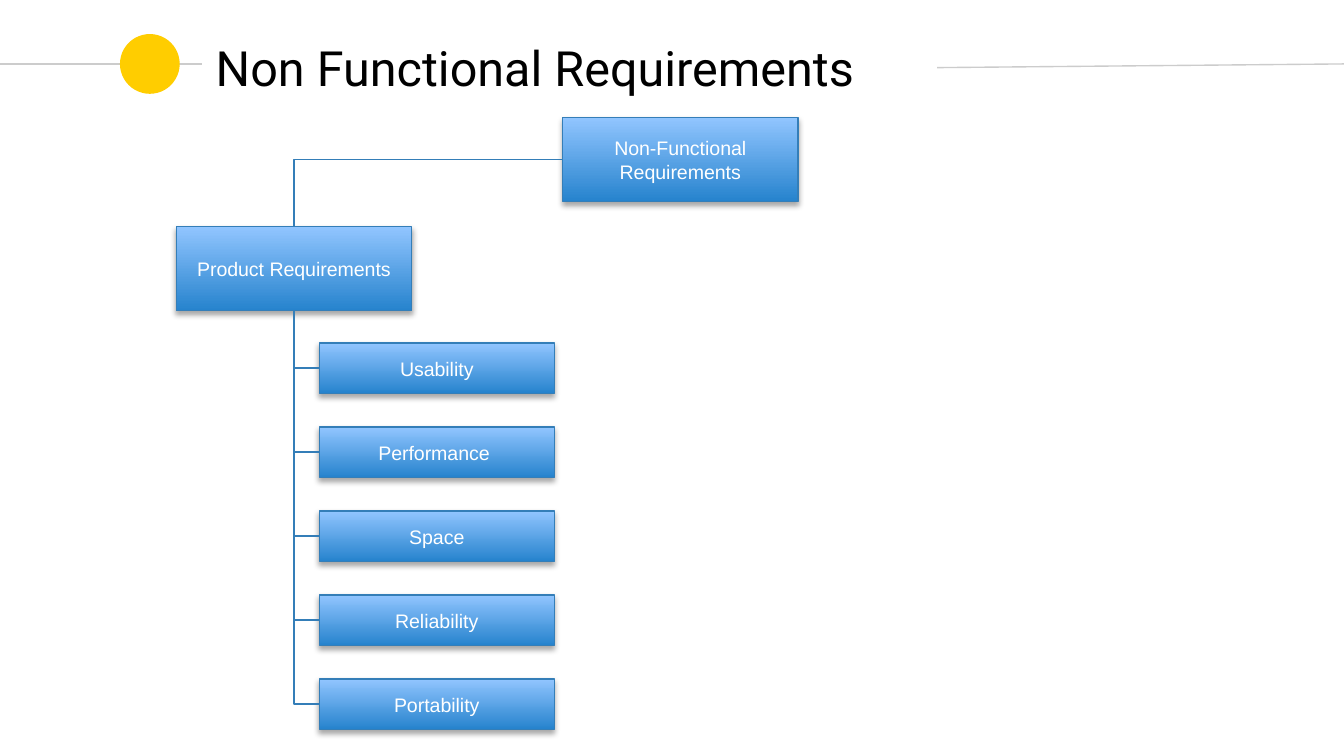
from lxml import etree
from pptx import Presentation
from pptx.dml.color import RGBColor
from pptx.enum import shapes, text
from pptx.oxml import ns
from pptx.util import Pt

COLOURS = {
    "rule": "CCCCCC",
    "accent": "FFCD00",
    "box_bottom": "2683CD",
    "box_top": "91C5FF",
    "outline": "347EB8",
    "label": "FFFFFF",
    "title": "000000",
    "shadow": "000000",
}
TOP, LEFT, BOTTOM = 0, 1, 2


class RequirementsSlide:
    def __init__(self, slide):
        self.slide = slide
        self.box_width = 126
        self.line_width = 0.75

    def colour(self, name):
        return RGBColor.from_string(COLOURS[name])

    def set_words(self, frame, words, font, size, colour, align):
        frame.text = words
        frame.word_wrap = True
        frame.vertical_anchor = text.MSO_ANCHOR.MIDDLE
        paragraph = frame.paragraphs[0]
        paragraph.alignment = align
        style = paragraph.runs[0].font
        style.name, style.size = font, Pt(size)
        style.color.rgb = self.colour(colour)

    def finish_line(self, connector, colour):
        connector.line.color.rgb = self.colour(colour)
        connector.line.width = Pt(self.line_width)
        etree.SubElement(connector._element.spPr, ns.qn("a:effectLst"))

    def rule(self, x1, y1, x2, y2):
        rule = self.slide.shapes.add_connector(
            shapes.MSO_CONNECTOR.STRAIGHT, Pt(x1), Pt(y1), Pt(x2), Pt(y2))
        self.finish_line(rule, "rule")

    def dot(self, left, top, size):
        dot = self.slide.shapes.add_shape(
            shapes.MSO_SHAPE.OVAL, Pt(left), Pt(top), Pt(size), Pt(size))
        dot.shadow.inherit = False
        dot.fill.solid()
        dot.fill.fore_color.rgb = self.colour("accent")
        dot.line.fill.background()

    def title(self, words, left, top, width, height):
        title = self.slide.shapes.add_textbox(Pt(left), Pt(top), Pt(width), Pt(height))
        frame = title.text_frame
        frame.margin_left = frame.margin_right = Pt(7.2)
        frame.margin_top = frame.margin_bottom = Pt(7.2)
        self.set_words(frame, words, "Roboto", 26, "title", text.PP_ALIGN.LEFT)

    def cast_shadow(self, box):
        box.shadow.inherit = False
        effects = box._element.spPr.find(ns.qn("a:effectLst"))
        shadow = etree.SubElement(
            effects, ns.qn("a:outerShdw"), blurRad=str(Pt(3.1)), dist=str(Pt(1.8)),
            dir="5400000", rotWithShape="0")
        tint = etree.SubElement(shadow, ns.qn("a:srgbClr"), val=COLOURS["shadow"])
        etree.SubElement(tint, ns.qn("a:alpha"), val="35000")

    def box(self, words, left, top, height):
        box = self.slide.shapes.add_shape(
            shapes.MSO_SHAPE.RECTANGLE, Pt(left), Pt(top), Pt(self.box_width), Pt(height))
        box.fill.gradient()
        box.fill.gradient_angle = 90
        for stop, name in zip(box.fill.gradient_stops, ("box_bottom", "box_top")):
            stop.color.rgb = self.colour(name)
        box.line.color.rgb = self.colour("outline")
        box.line.width = Pt(self.line_width)
        self.cast_shadow(box)
        self.set_words(box.text_frame, words, "Arial", 10.5, "label", text.PP_ALIGN.CENTER)
        return box

    def branch(self, start, end, end_side):
        branch = self.slide.shapes.add_connector(
            shapes.MSO_CONNECTOR.ELBOW, Pt(0), Pt(0), Pt(0), Pt(0))
        branch.begin_connect(start, LEFT)
        branch.end_connect(end, end_side)
        branch._element.spPr.find(ns.qn("a:prstGeom")).set("prst", "bentConnector2")
        self.finish_line(branch, "outline")


def main():
    deck = Presentation()
    deck.slide_width, deck.slide_height = Pt(720), Pt(405)
    page = RequirementsSlide(deck.slides.add_slide(deck.slide_layouts[6]))

    page.rule(0, 34.25, 108, 34.25)
    page.dot(64.25, 18.25, 32)
    page.rule(502, 36.25, 720, 34.25)

    root = page.box("Non-Functional Requirements", 301.5, 63, 45)
    product = page.box("Product Requirements", 94.5, 121.5, 45)
    qualities = ["Usability", "Performance ", "Space", "Reliability", "Portability"]
    leaves = [page.box(quality, 171, 183.75 + 45 * row, 27)
              for row, quality in enumerate(qualities)]

    page.branch(root, product, TOP)
    for leaf in leaves:
        page.branch(leaf, product, BOTTOM)

    page.title("Non Functional Requirements", 108.5, 18.75, 393, 34.5)
    deck.save("out.pptx")


if __name__ == "__main__":
    main()
